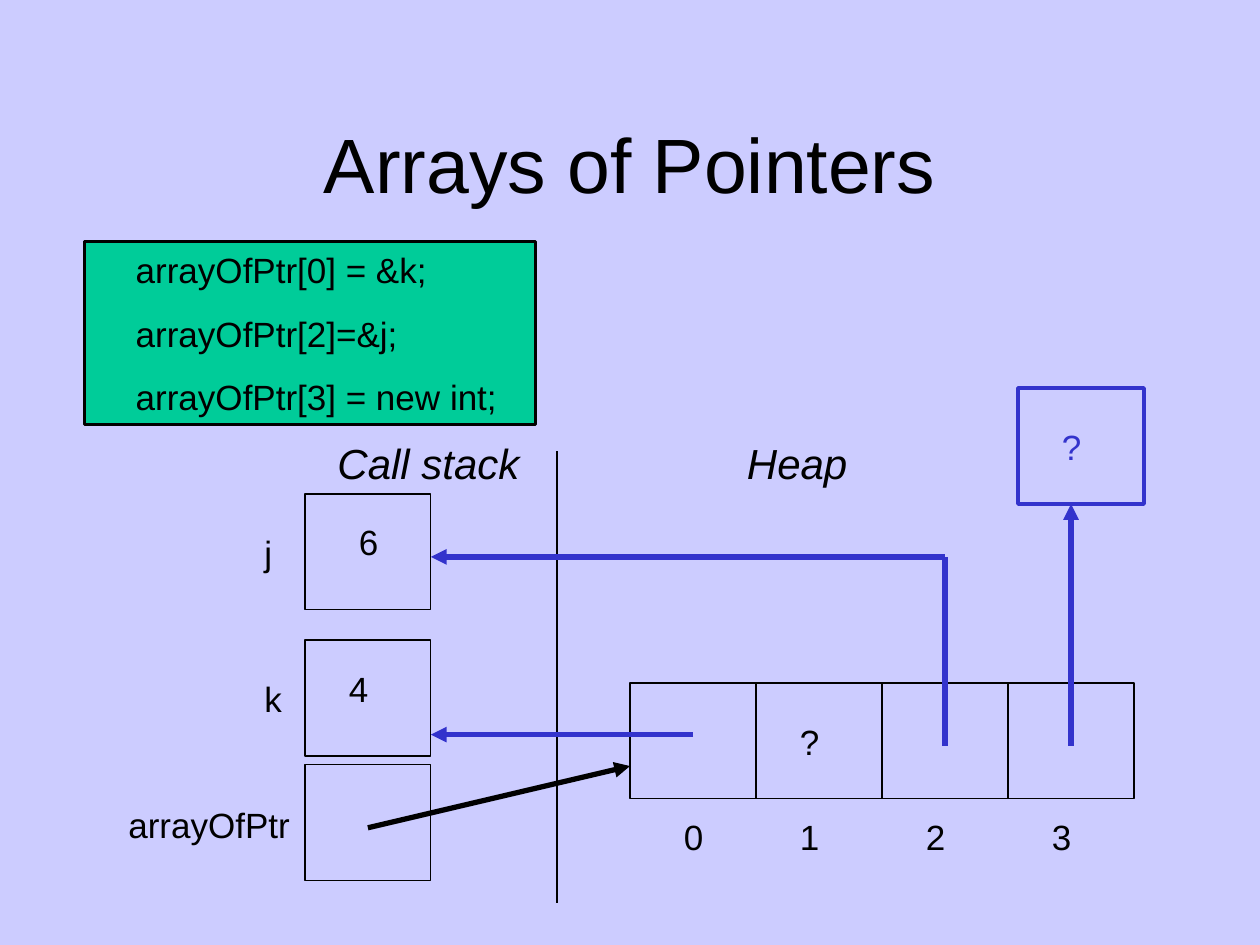
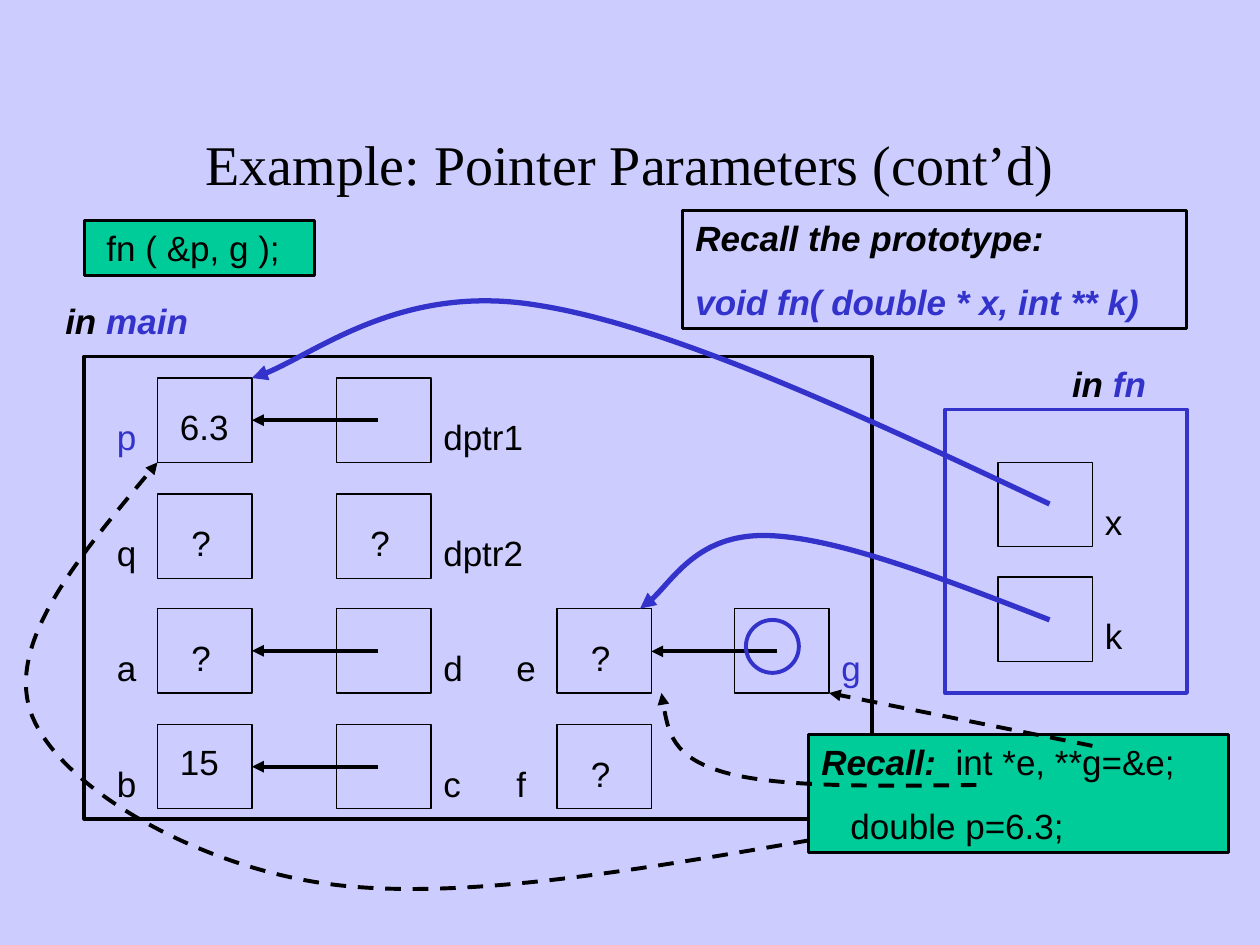
from dataclasses import dataclass

from lxml.etree import SubElement
from pptx import Presentation
from pptx.dml.color import RGBColor
from pptx.enum.dml import MSO_LINE
from pptx.enum.shapes import MSO_CONNECTOR, MSO_SHAPE
from pptx.enum.text import MSO_ANCHOR, MSO_AUTO_SIZE, PP_ALIGN
from pptx.oxml.ns import qn
from pptx.util import Inches, Pt


@dataclass(frozen=True)
class Theme:
    background: RGBColor = RGBColor(0xCC, 0xCC, 0xFF)
    ink: RGBColor = RGBColor(0, 0, 0)
    accent: RGBColor = RGBColor(0x33, 0x33, 0xCC)
    code_fill: RGBColor = RGBColor(0, 0xCC, 0x99)
    font: str = "Arial"
    serif: str = "Times New Roman"
    title: int = 44
    long_title: int = 32
    heading: int = 24
    body: int = 20
    paragraph_gap: float = 12.5
    thin: float = 0.75
    frame: float = 1.75
    medium: float = 2.25
    thick: float = 3


THEME = Theme()


@dataclass
class Span:
    text: str
    color: RGBColor = THEME.ink
    size: int = THEME.body
    bold: bool = False
    italic: bool = False
    font: str = THEME.font


def strong(text, color=THEME.ink):
    return Span(text, color, bold=True, italic=True)


def accent(text):
    return Span(text, THEME.accent)


class Deck:
    def __init__(self, theme):
        self.theme = theme
        self.presentation = Presentation()
        self.presentation.slide_width = Inches(10)
        self.presentation.slide_height = Inches(7.5)
        fill = self.presentation.slide_master.background.fill
        fill.solid()
        fill.fore_color.rgb = theme.background
        self.slide = None

    def new_slide(self, title):
        self.slide = self.presentation.slides.add_slide(self.presentation.slide_layouts[5])
        shape = self.slide.shapes.title
        shape.left, shape.top = Inches(0.75), Inches(0.67)
        shape.width, shape.height = Inches(8.5), Inches(1.25)
        self.fill_text(shape.text_frame, [title])
        shape.text_frame.vertical_anchor = MSO_ANCHOR.MIDDLE
        shape.text_frame.paragraphs[0].alignment = PP_ALIGN.CENTER

    def fill_text(self, frame, lines):
        """Fill a frame; each line is a string, a Span or a list of Spans."""
        frame.word_wrap = True
        frame.auto_size = MSO_AUTO_SIZE.NONE
        frame.vertical_anchor = MSO_ANCHOR.TOP
        for index, line in enumerate(lines):
            paragraph = frame.add_paragraph() if index else frame.paragraphs[0]
            paragraph.alignment = PP_ALIGN.LEFT
            paragraph.space_before = Pt(self.theme.paragraph_gap if index else 0)
            for span in line if isinstance(line, list) else [line]:
                span = Span(span) if isinstance(span, str) else span
                run = paragraph.add_run()
                run.text = span.text
                run.font.name, run.font.size = span.font, Pt(span.size)
                run.font.bold, run.font.italic = span.bold, span.italic
                run.font.color.rgb = span.color

    def text(self, left, top, line, width=0.42, height=0.44):
        box = self.slide.shapes.add_textbox(
            Inches(left), Inches(top), Inches(width), Inches(height))
        self.fill_text(box.text_frame, [line])

    def box(self, left, top, width, height, weight=THEME.thin, color=THEME.ink,
            fill=None, lines=(), kind=MSO_SHAPE.RECTANGLE):
        shape = self.slide.shapes.add_shape(
            kind, Inches(left), Inches(top), Inches(width), Inches(height))
        shape.shadow.inherit = False
        if fill is None:
            shape.fill.background()
        else:
            shape.fill.solid()
            shape.fill.fore_color.rgb = fill
        shape.line.color.rgb = color
        shape.line.width = Pt(weight)
        self.fill_text(shape.text_frame, lines)

    def code_box(self, left, top, width, height, lines):
        self.box(left, top, width, height, self.theme.frame,
                 fill=self.theme.code_fill, lines=lines)

    def style_stroke(self, shape, color, weight, dashed, arrow):
        shape.line.color.rgb = color
        shape.line.width = Pt(weight)
        if dashed:
            shape.line.dash_style = MSO_LINE.DASH
        if arrow:
            outline = shape._element.spPr.find(qn("a:ln"))
            SubElement(outline, qn("a:tailEnd"), type="triangle")

    def line(self, start, end, color=THEME.ink, weight=THEME.thick, dashed=False, arrow=True):
        points = [Inches(value) for value in (*start, *end)]
        connector = self.slide.shapes.add_connector(MSO_CONNECTOR.STRAIGHT, *points)
        self.style_stroke(connector, color, weight, dashed, arrow)
        SubElement(connector._element.spPr, qn("a:effectLst"))

    def curve(self, points, color=THEME.ink, weight=THEME.medium, dashed=False):
        """Draw a Bezier arrow: a start point, then three points per segment."""
        points = [(Inches(x), Inches(y)) for x, y in points]
        builder = self.slide.shapes.build_freeform(*points[0])
        builder.add_line_segments(points[1:], close=False)
        shape = builder.convert_to_shape()
        outline = shape._element.spPr.find(".//" + qn("a:path"))
        segments = outline.findall(qn("a:lnTo"))
        for first in range(0, len(segments), 3):
            bezier = SubElement(outline, qn("a:cubicBezTo"))
            for segment in segments[first:first + 3]:
                bezier.append(segment[0])
                outline.remove(segment)
        shape.shadow.inherit = False
        shape.fill.background()
        self.style_stroke(shape, color, weight, dashed, arrow=True)


def build_arrays_slide(deck):
    theme = deck.theme
    cell_width, cell_height = 1, 0.92
    stack_left, heap_left, heap_top = 2.42, 5, 5.42
    stack_right = stack_left + cell_width

    deck.new_slide(Span("Arrays of Pointers", size=theme.title))
    deck.code_box(0.67, 1.92, 3.58, 1.45, [
        "    arrayOfPtr[0] = &k;",
        "    arrayOfPtr[2]=&j;",
        "    arrayOfPtr[3] = new int;",
    ])
    for heading, left, width in (("Call stack", 2.58, 1.83), ("Heap", 5.83, 1.17)):
        deck.text(left, 3.42, Span(heading, size=theme.heading, italic=True), width, 0.5)
    deck.line((4.42, 3.58), (4.42, 7.17), weight=theme.thin, arrow=False)

    for top in (3.92, 5.08, 6.07):
        deck.box(stack_left, top, cell_width, cell_height)
    deck.text(2, 4.17, "j")
    deck.text(2, 5.33, "k")
    deck.text(0.92, 6.33, "arrayOfPtr", 1.67)
    deck.text(2.75, 4.08, "6")
    deck.text(2.67, 5.25, "4")

    for index, label_left in enumerate((5.33, 6.25, 7.25, 8.25)):
        deck.box(heap_left + index * cell_width, heap_top, cell_width, cell_height)
        deck.text(label_left, 6.42, str(index))
    deck.text(6.25, 5.67, "?", 0.5)
    deck.box(8.08, 3.08, cell_width, cell_height, theme.medium, theme.accent)
    deck.text(8.33, 3.33, accent("?"), 0.5)

    deck.line((2.92, 6.57), (heap_left, 6.08))
    deck.line((5.5, 5.83), (stack_right, 5.83), theme.accent)
    deck.line((7.5, 5.92), (7.5, 4.42), theme.accent, arrow=False)
    deck.line((7.5, 4.42), (stack_right, 4.42), theme.accent)
    deck.line((8.5, 5.92), (8.5, 4), theme.accent)


def build_parameters_slide(deck):
    theme = deck.theme
    cell_width, cell_height = 0.75, 0.67
    rows = (3, 3.92, 4.83, 5.75)
    variables, pointers, integers, double_pointers = 1.25, 2.67, 4.42, 5.83

    def cell(left, top, name, name_left, value=None, name_width=0.42):
        deck.box(left, top, cell_width, cell_height)
        deck.text(name_left, top + 0.25, name, name_width)
        if value:
            deck.text(left + 0.17, top + 0.17, value)

    deck.new_slide(Span("Example: Pointer Parameters (cont’d)",
                        size=theme.long_title, font=theme.serif))
    deck.code_box(0.67, 1.75, 1.83, 0.44, [" fn ( &p, g );"])
    deck.box(5.42, 1.67, 4, 0.94, theme.frame, lines=[
        strong("Recall the prototype:"),
        strong("void fn( double * x, int ** k)", theme.accent),
    ])

    deck.box(0.67, 2.83, 6.25, 3.67, theme.medium)
    deck.text(0.42, 2.33, [strong("in "), strong("main", theme.accent)], 1.33)
    for top, name, value in zip(rows, (accent("p"), "q", "a", "b"), (None, "?", "?", None)):
        cell(variables, top, name, 0.83, value)
    deck.text(1.33, 3.17, "6.3", 0.67)
    deck.text(1.33, 5.83, "15", 0.67)
    for top, name, value in zip(rows, ("dptr1", "dptr2", "d", "c"), (None, "?", None, None)):
        cell(pointers, top, name, pointers + cell_width, value, 1)
    for top, name in zip(rows[2:], "ef"):
        cell(integers, top, name, 4, "?")
    cell(double_pointers, rows[2], accent("g"), double_pointers + cell_width)

    deck.box(7.5, 3.25, 1.92, 2.25, theme.medium, theme.accent)
    deck.text(8.41, 2.83, [strong("in "), strong("fn", theme.accent)], 1.25)
    for top, name in ((3.67, "x"), (4.58, "k")):
        cell(7.92, top, name, 8.67)

    for row in (0, 2, 3):
        y = rows[row] + cell_height / 2
        deck.line((3, y), (variables + cell_width, y), weight=theme.medium)
    deck.line((6.17, 5.17), (integers + cell_width, 5.17), weight=theme.medium)

    deck.code_box(6.42, 5.83, 3.33, 0.94, [
        [strong("Recall:"), Span("  int *e, **g=&e;")],
        "   double p=6.3;",
    ])
    deck.box(5.92, 4.92, 0.42, 0.42, theme.medium, theme.accent, kind=MSO_SHAPE.OVAL)

    deck.curve([(8.33, 4), (6.82, 3.29), (5.31, 2.58), (4.25, 2.42),
                (3.19, 2.25), (2.38, 2.9), (2, 3)], theme.accent, theme.thick)
    deck.curve([(8.33, 4.92), (7.48, 4.59), (6.63, 4.26), (6.08, 4.25),
                (5.54, 4.24), (5.25, 4.74), (5.08, 4.83)], theme.accent, theme.thick)
    deck.curve([(7.75, 6.23), (6.96, 6.24), (6.17, 6.25), (5.75, 6.13),
                (5.33, 6.01), (5.29, 5.75), (5.25, 5.5)], dashed=True)
    deck.curve([(6.42, 6.67), (4.97, 6.92), (3.53, 7.17), (2.5, 7),
                (1.47, 6.83), (0.46, 6.22), (0.25, 5.67),
                (0.04, 5.11), (0.65, 4.39), (1.25, 3.67)], dashed=True)
    deck.line((8.67, 5.92), (6.58, 5.5), weight=theme.medium, dashed=True)


def main():
    deck = Deck(THEME)
    build_arrays_slide(deck)
    build_parameters_slide(deck)
    deck.presentation.save("out.pptx")


if __name__ == "__main__":
    main()
